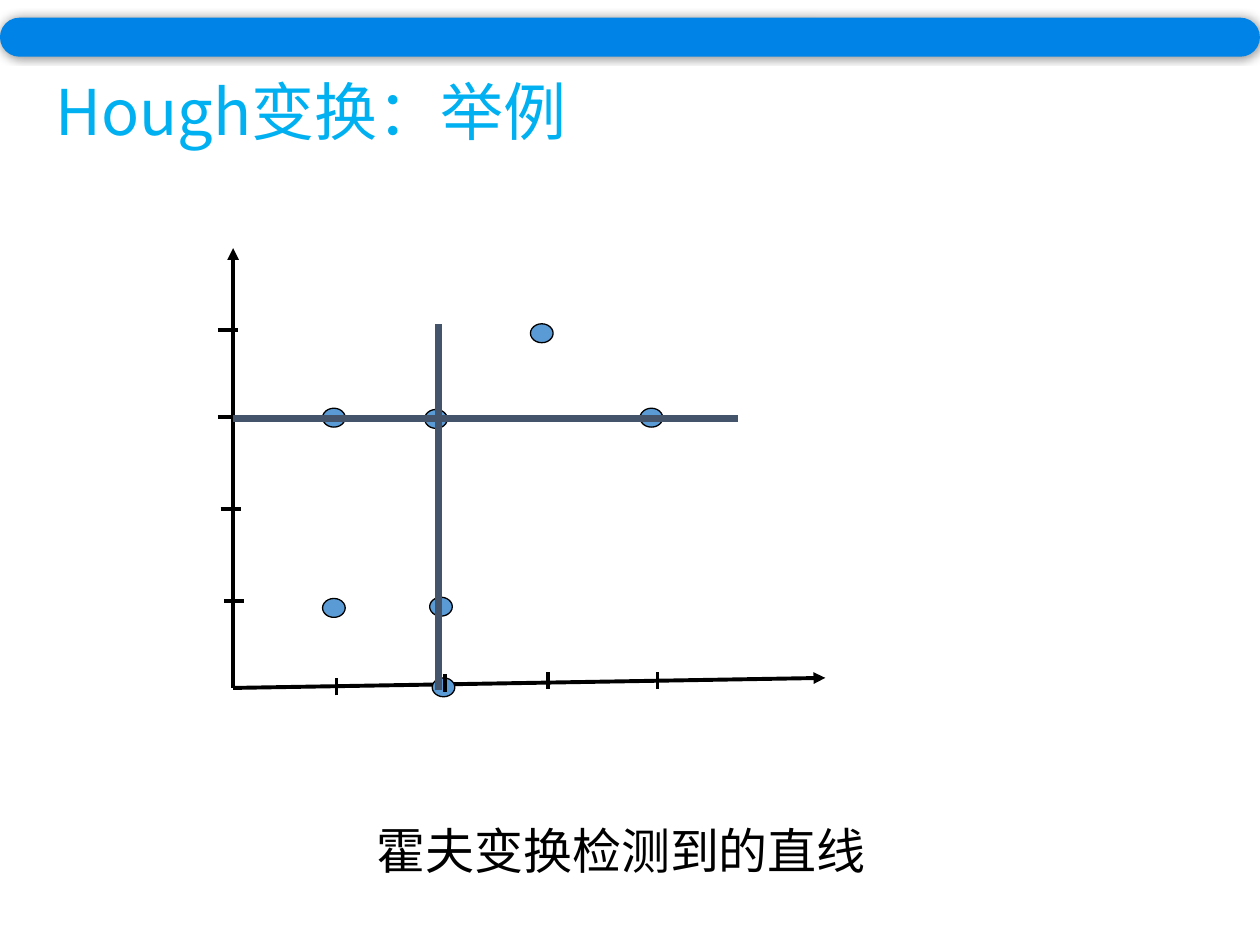
from lxml import etree
from pptx import Presentation
from pptx.dml.color import RGBColor
from pptx.enum.shapes import MSO_CONNECTOR, MSO_SHAPE
from pptx.enum.text import MSO_ANCHOR, MSO_AUTO_SIZE, PP_ALIGN
from pptx.oxml.ns import qn
from pptx.util import Inches, Pt

STRAIGHT = MSO_CONNECTOR.STRAIGHT
OVAL, ROUNDED = MSO_SHAPE.OVAL, MSO_SHAPE.ROUNDED_RECTANGLE
TOP, LEFT = MSO_ANCHOR.TOP, PP_ALIGN.LEFT
NO_AUTOFIT, FIT_SHAPE = MSO_AUTO_SIZE.NONE, MSO_AUTO_SIZE.SHAPE_TO_FIT_TEXT

# Content, lengths in inches
TITLE = "Hough变换：举例"
CAPTION = "霍夫变换检测到的直线"
ORIGIN, Y_AXIS_END, X_AXIS_END = (1.85, 5.46), (1.85, 1.97), (6.55, 5.38)
POINTS = [(3.37, 3.25), (3.43, 5.38), (3.41, 4.74), (2.56, 3.24),
          (2.56, 4.75), (5.08, 3.24), (4.21, 2.57)]  # left, top
POINT_SIZE = (0.18, 0.15)
X_TICKS = [(2.67, 5.38), (3.53, 5.35), (4.35, 5.33), (5.22, 5.33)]  # x, top
Y_TICKS = [(1.78, 4.77), (1.75, 4.04), (1.73, 3.31), (1.73, 2.62)]  # left, y
X_TICK_LENGTH, Y_TICK_LENGTH = 0.14, 0.16
DETECTED_LINES = [((1.85, 3.32), (5.86, 3.32)), ((3.48, 5.48), (3.48, 2.57))]

THEME = {
    "font": "Noto Sans CJK SC",
    "title_size": 36, "caption_size": 28,
    "title": "00B0F0", "ink": "000000", "bar": "0083E6",
    "point": "5B9BD5", "detected": "44546A",
    "axis_width": 2.25, "tick_width": 2, "detected_width": 4, "outline_width": 0.75,
}


def color(name):
    return RGBColor.from_string(THEME[name])


def box(left, top, width, height):
    return [Inches(value) for value in (left, top, width, height)]


def add_line(start, end, color_name, width, arrow=False):
    line = slide.shapes.add_connector(
        STRAIGHT, *[Inches(value) for value in (*start, *end)])
    line.line.color.rgb = color(color_name)
    line.line.width = Pt(THEME[width])
    if arrow:
        etree.SubElement(line.line._get_or_add_ln(), qn("a:tailEnd"), type="triangle")
    etree.SubElement(line._element.spPr, qn("a:effectLst"))


def add_filled_shape(preset, bounds, color_name):
    shape = slide.shapes.add_shape(preset, *box(*bounds))
    shape.shadow.inherit = False
    shape.fill.solid()
    shape.fill.fore_color.rgb = color(color_name)
    return shape


def write_text(frame, text, size, color_name):
    paragraph = frame.paragraphs[0]
    paragraph.alignment = LEFT
    run = paragraph.add_run()
    run.text = text
    run.font.size = Pt(THEME[size])
    run.font.color.rgb = color(color_name)
    run.font.name = THEME["font"]
    etree.SubElement(run.font._element, qn("a:ea"), typeface=THEME["font"])
    return paragraph


presentation = Presentation()
presentation.slide_width, presentation.slide_height = Inches(10), Inches(7.5)
slide = presentation.slides.add_slide(presentation.slide_layouts[5])

# Title
title = slide.shapes.title
title.left, title.top, title.width, title.height = box(0.34, 0.59, 9.34, 1.25)
title.text_frame.vertical_anchor = TOP
title.text_frame.auto_size = NO_AUTOFIT
write_text(title.text_frame, TITLE, "title_size", "title").line_spacing = 0.9

# Top bar with a soft shadow
bar = add_filled_shape(ROUNDED, (0, 0.14, 10, 0.31), "bar")
bar.adjustments[0] = 0.5
bar.line.fill.background()
effects = bar._element.spPr.find(qn("a:effectLst"))
shadow = etree.SubElement(effects, qn("a:outerShdw"), blurRad=str(Pt(5)), dist="0", dir="0")
shadow_color = etree.SubElement(shadow, qn("a:srgbClr"), val=THEME["ink"])
etree.SubElement(shadow_color, qn("a:alpha"), val="40000")

# Axes
for axis_end in (Y_AXIS_END, X_AXIS_END):
    add_line(ORIGIN, axis_end, "ink", "axis_width", arrow=True)

# Data points
for left, top in POINTS:
    point = add_filled_shape(OVAL, (left, top, *POINT_SIZE), "point")
    point.line.color.rgb = color("ink")
    point.line.width = Pt(THEME["outline_width"])

# Axis ticks
for x, top in X_TICKS:
    add_line((x, top + X_TICK_LENGTH), (x, top), "ink", "tick_width")
for left, y in Y_TICKS:
    add_line((left, y), (left + Y_TICK_LENGTH, y), "ink", "tick_width")

# Detected lines
for start, end in DETECTED_LINES:
    add_line(start, end, "detected", "detected_width")

# Caption
caption = slide.shapes.add_textbox(*box(2.89, 6.46, 4.13, 0.57))
caption.text_frame.word_wrap = False
caption.text_frame.auto_size = FIT_SHAPE
write_text(caption.text_frame, CAPTION, "caption_size", "ink")

presentation.save("out.pptx")
